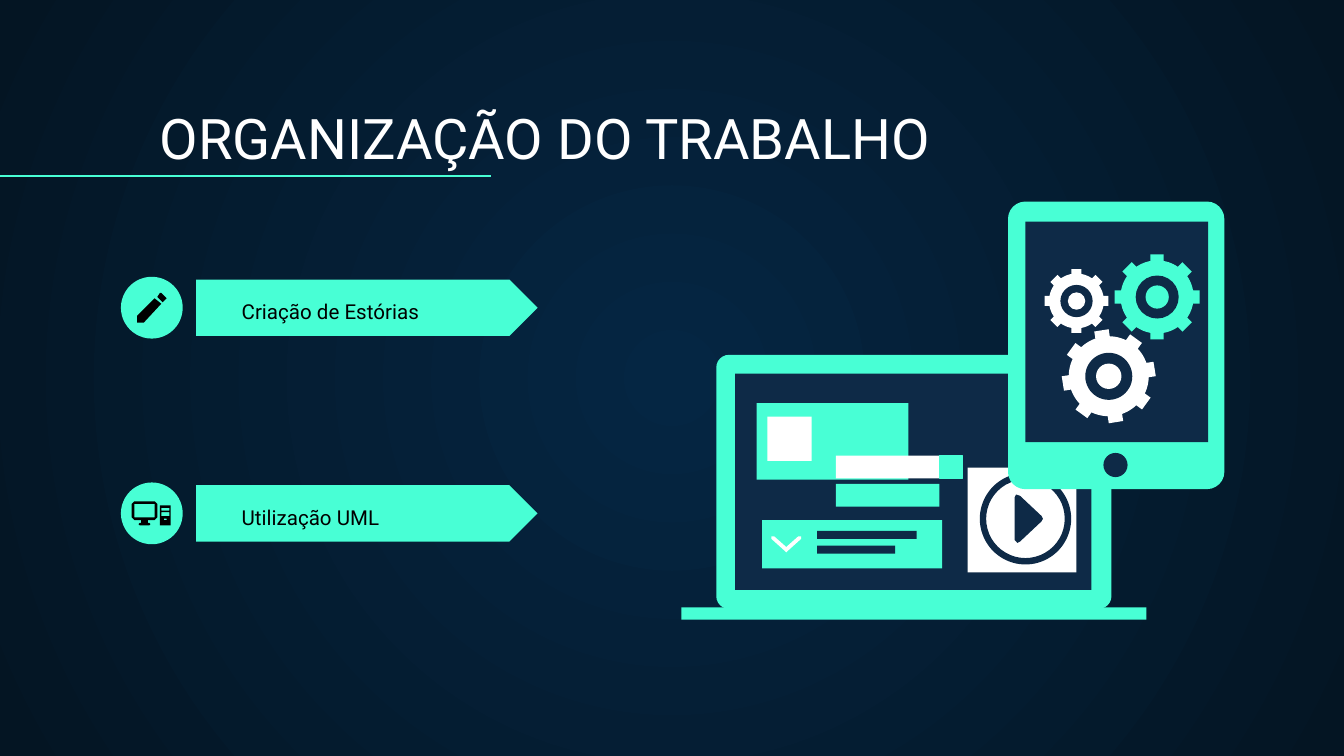
from math import asin, cos, pi, radians, sin

from lxml import etree
from pptx import Presentation
from pptx.dml.color import RGBColor
from pptx.enum.shapes import MSO_CONNECTOR, MSO_SHAPE
from pptx.enum.text import MSO_ANCHOR
from pptx.oxml.ns import qn
from pptx.util import Inches, Pt

RECT = MSO_SHAPE.RECTANGLE
ROUND = MSO_SHAPE.ROUNDED_RECTANGLE
OVAL = MSO_SHAPE.OVAL
DONUT = MSO_SHAPE.DONUT
PENTAGON = MSO_SHAPE.PENTAGON
STRAIGHT = MSO_CONNECTOR.STRAIGHT
BOTTOM = MSO_ANCHOR.BOTTOM

MINT, NAVY, WHITE, BLACK = "48FFD5", "0E2A47", "FFFFFF", "000000"
FONT = "Roboto"

PENCIL = [
    [(1.15, 2.22), (1.02, 2.35), (1.02, 2.4), (1.07, 2.4), (1.2, 2.26)],
    [(1.19, 2.18), (1.17, 2.21), (1.21, 2.25), (1.23, 2.23), (1.24, 2.22),
     (1.23, 2.21), (1.2, 2.18)],
]
CHEVRON = [(5.74, 3.99), (5.76, 3.99), (5.85, 4.07), (5.94, 3.99), (5.96, 3.99),
           (5.96, 4.01), (5.86, 4.1), (5.85, 4.11), (5.84, 4.1), (5.74, 4.01)]
PLAY = [(7.55, 3.7), (7.56, 3.68), (7.59, 3.69), (7.75, 3.84), (7.76, 3.86),
        (7.75, 3.88), (7.59, 4.03), (7.57, 4.04), (7.55, 4.02)]


def color(value):
    """Turn a hex string into a colour."""
    return RGBColor.from_string(value)


def box(left, top, right, bottom):
    """Return the corners of a rectangle."""
    return [(left, top), (right, top), (right, bottom), (left, bottom)]


MONITOR = [
    [(1, 3.73), (1.15, 3.73), (1.17, 3.75), (1.17, 3.85), (1.15, 3.87),
     (1.1, 3.87), (1.1, 3.89), (1.11, 3.89), (1.12, 3.9), (1.11, 3.91),
     (1.04, 3.91), (1.03, 3.9), (1.04, 3.89), (1.05, 3.89), (1.05, 3.87),
     (1, 3.87), (0.98, 3.85), (0.98, 3.75)],
    box(1, 3.75, 1.15, 3.85),
]
TOWER = [
    box(1.19, 3.76, 1.27, 3.91),
    box(1.2, 3.78, 1.26, 3.8),
    box(1.2, 3.81, 1.26, 3.84),
    box(1.22, 3.86, 1.24, 3.87),
]


class SlideBuilder:
    """Hold the style and the current slide."""

    def __init__(self, presentation):
        """Add a blank slide."""
        self.slide = presentation.slides.add_slide(presentation.slide_layouts[6])
        self.shapes = self.slide.shapes

    def background(self, center, edge):
        """Fill the background with a radial gradient."""
        fill = self.slide.background.fill
        fill.gradient()
        for stop, position, value in zip(fill.gradient_stops, (0, 1), (center, edge)):
            stop.position = position
            stop.color.rgb = color(value)
        gradient = self.slide.element.find(".//" + qn("a:gradFill"))
        gradient.remove(gradient.find(qn("a:lin")))
        radial = etree.SubElement(gradient, qn("a:path"), {"path": "circle"})
        etree.SubElement(radial, qn("a:fillToRect"), dict.fromkeys("ltrb", "50000"))

    def paint(self, shape, fill):
        """Give a shape a flat fill."""
        shape.shadow.inherit = False
        shape.fill.solid()
        shape.fill.fore_color.rgb = color(fill)
        shape.line.fill.background()
        return shape

    def preset(self, kind, left, top, width, height, fill, adjust=None):
        """Add a preset shape."""
        shape = self.shapes.add_shape(
            kind, Inches(left), Inches(top), Inches(width), Inches(height))
        if adjust is not None:
            shape.adjustments[0] = adjust
        return self.paint(shape, fill)

    def disc(self, x, y, radius, fill):
        """Add a circle around a centre."""
        return self.preset(OVAL, x - radius, y - radius, 2 * radius, 2 * radius, fill)

    def outline(self, contours, fill):
        """Add a filled shape from closed contours."""
        contours = [[(Inches(x), Inches(y)) for x, y in c] for c in contours]
        builder = self.shapes.build_freeform(*contours[0][0], scale=1.0)
        for index, contour in enumerate(contours):
            if index:
                builder.move_to(*contour[0])
            builder.add_line_segments(contour[1:], close=True)
        return self.paint(builder.convert_to_shape(), fill)

    def gear(self, x, y, radius, fill, turn=0):
        """Add an eight-toothed gear with a ring and a hub."""
        body, half_tooth = radius * 0.85, radius * 0.155
        root, tip = asin(half_tooth / body), asin(half_tooth / radius)
        valley = pi / 4 - 2 * root
        points = []
        for tooth in range(8):
            middle = radians(turn) + tooth * pi / 4
            polar = [(body, -root), (radius, -tip), (radius, tip)]
            polar += [(body, root + valley * step / 6) for step in range(6)]
            points += [(x + r * sin(middle + a), y - r * cos(middle + a))
                       for r, a in polar]
        self.outline([points], fill)
        self.disc(x, y, radius * 0.5, NAVY)
        self.disc(x, y, radius * 0.27, fill)

    def text(self, words, left, top, width, height, size, ink):
        """Add bottom-anchored text."""
        frame = self.shapes.add_textbox(
            Inches(left), Inches(top), Inches(width), Inches(height)).text_frame
        frame.word_wrap = True
        frame.vertical_anchor = BOTTOM
        frame.margin_left = frame.margin_right = Inches(0.1)
        frame.margin_top = frame.margin_bottom = Inches(0.1)
        paragraph = frame.paragraphs[0]
        paragraph.text = words
        paragraph.font.name = FONT
        paragraph.font.size = Pt(size)
        paragraph.font.color.rgb = color(ink)

    def rule(self, left, right, y):
        """Add a horizontal line."""
        line = self.shapes.add_connector(
            STRAIGHT, Inches(left), Inches(y), Inches(right), Inches(y))
        line.line.color.rgb = color(MINT)
        line.line.width = Pt(0.75)
        etree.SubElement(line.element.spPr, qn("a:effectLst"))


def draw_laptop(page):
    """Draw the laptop with its open windows."""
    page.preset(ROUND, 5.33, 2.64, 2.94, 1.89, MINT, 0.05)
    for *place, fill in (
        (5.47, 2.78, 2.65, 1.61, NAVY),
        (5.07, 4.52, 3.46, 0.09, MINT),
        (5.63, 3, 1.13, 0.57, MINT),
        (5.71, 3.1, 0.33, 0.33, WHITE),
        (5.67, 3.87, 1.34, 0.36, MINT),
        (6.08, 3.95, 0.74, 0.06, NAVY),
        (6.08, 4.06, 0.58, 0.06, NAVY),
        (6.22, 3.6, 0.77, 0.17, MINT),
        (6.22, 3.39, 0.77, 0.17, WHITE),
        (7.2, 3.48, 0.81, 0.78, WHITE),
    ):
        page.preset(RECT, *place, fill)
    search_button = page.preset(RECT, 6.99, 3.39, 0.17, 0.17, MINT)
    search_button.line.color.rgb = color(MINT)
    search_button.line.width = Pt(0.75)
    page.outline([CHEVRON], WHITE)
    page.preset(DONUT, 7.29, 3.52, 0.68, 0.68, NAVY, 0.07)
    page.outline([PLAY], NAVY)


def draw_tablet(page):
    """Draw the tablet with its gears."""
    page.preset(ROUND, 7.5, 1.5, 1.61, 2.14, MINT, 0.08)
    page.preset(RECT, 7.63, 1.65, 1.36, 1.64, NAVY)
    page.disc(8.3, 3.46, 0.09, NAVY)
    page.gear(8.61, 2.21, 0.32, MINT)
    page.gear(8.01, 2.24, 0.24, WHITE)
    page.gear(8.25, 2.8, 0.35, WHITE, -9)


def main():
    """Build and save the slide."""
    presentation = Presentation()
    presentation.slide_width = Inches(10)
    presentation.slide_height = Inches(10 * 9 / 16)
    page = SlideBuilder(presentation)
    page.background("052643", "041523")
    page.text("ORGANIZAÇÃO DO TRABALHO", 1.09, 0.71, 8.57, 0.66, 30, WHITE)
    page.rule(0, 3.65, 1.31)
    topics = (("Criação de Estórias", [PENCIL]), ("Utilização UML", [MONITOR, TOWER]))
    for row, (topic, icon) in enumerate(topics):
        top = 2.08 + 1.53 * row
        page.preset(PENTAGON, 1.46, top, 2.54, 0.42, MINT, 0.5)
        page.text(topic, 1.7, top + 0.21, 2.27, 0.21, 11, BLACK)
        page.disc(1.13, top + 0.21, 0.23, MINT)
        for part in icon:
            page.outline(part, BLACK)
    draw_laptop(page)
    draw_tablet(page)
    presentation.save("out.pptx")


if __name__ == "__main__":
    main()
